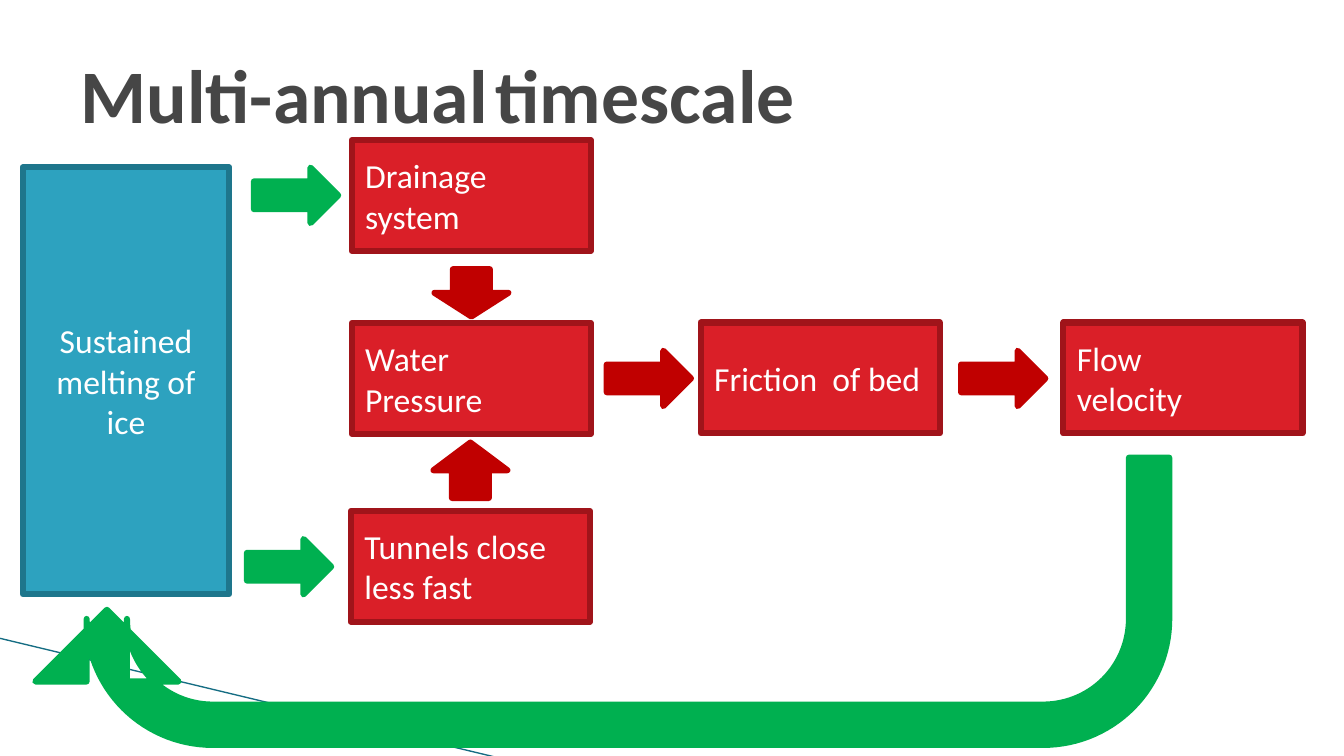
from dataclasses import dataclass
from math import cos, radians, sin

from lxml import etree
from pptx import Presentation
from pptx.dml.color import RGBColor
from pptx.enum.shapes import MSO_CONNECTOR, MSO_SHAPE
from pptx.enum.text import MSO_ANCHOR, MSO_AUTO_SIZE, PP_ALIGN
from pptx.oxml.ns import qn
from pptx.util import Pt

LEFT, CENTER = PP_ALIGN.LEFT, PP_ALIGN.CENTER
MIDDLE = MSO_ANCHOR.MIDDLE
NO_FIT = MSO_AUTO_SIZE.NONE
RECTANGLE = MSO_SHAPE.RECTANGLE
RIGHT, UP, DOWN = MSO_SHAPE.RIGHT_ARROW, MSO_SHAPE.UP_ARROW, MSO_SHAPE.DOWN_ARROW
STRAIGHT = MSO_CONNECTOR.STRAIGHT

FONT = "Calibri"
WHITE, GREY = "FFFFFF", "464646"
RED, RED_EDGE = "DA1F28", "A0141A"
BLUE, BLUE_EDGE = "2DA2BF", "1E768C"
GREEN, DARK_RED = "00B050", "C00000"
ACCENT = "156D83"
EDGE_WIDTH = 4.34
BOX_WIDTH, BOX_HEIGHT = 170.8, 79.2


@dataclass(frozen=True)
class Stage:
    text: str
    left: float
    top: float
    width: float = BOX_WIDTH
    height: float = BOX_HEIGHT
    fill: str = RED
    edge: str = RED_EDGE
    align: PP_ALIGN = LEFT


@dataclass(frozen=True)
class Arrow:
    kind: MSO_SHAPE
    left: float
    top: float
    width: float
    height: float
    color: str


STAGES = [
    Stage("Flow\nvelocity", 759.6, 230.4),
    Stage("Sustained melting of ice", 16.3, 119.6, 147.4, 304.9, BLUE, BLUE_EDGE, CENTER),
    Stage("Friction  of bed", 500.5, 230.4),
    Stage("Water\nPressure", 251.2, 230.7),
    Stage("Drainage\nsystem", 251.2, 100.1),
    Stage("Tunnels close less fast", 250.6, 365),
]

ARROWS = [
    Arrow(RIGHT, 433.4, 250.5, 60.2, 39.6, DARK_RED),
    Arrow(RIGHT, 686.5, 250.5, 60.2, 39.6, DARK_RED),
    Arrow(RIGHT, 181.4, 119.7, 60.2, 39.6, GREEN),
    Arrow(RIGHT, 176.4, 385, 60.2, 39.6, GREEN),
    Arrow(UP, 309.6, 316.1, 52.8, 39.6, DARK_RED),
    Arrow(DOWN, 310.3, 192.3, 52.8, 33.8, DARK_RED),
]


def rgb(color: str) -> RGBColor:
    return RGBColor.from_string(color)


def paint(shape, fill: str, edge: str) -> None:
    shape.shadow.inherit = False
    shape.fill.solid()
    shape.fill.fore_color.rgb = rgb(fill)
    shape.line.color.rgb = rgb(edge)
    shape.line.width = Pt(EDGE_WIDTH)
    etree.SubElement(shape.line._get_or_add_ln(), qn("a:round"))


def set_frame(frame) -> None:
    frame.word_wrap = True
    frame.auto_size = NO_FIT
    frame.vertical_anchor = MIDDLE
    frame.margin_left = frame.margin_right = Pt(9.6)
    frame.margin_top = frame.margin_bottom = Pt(4.8)


def style_run(run, size: float, color: str, bold: bool = False) -> None:
    run.font.name = FONT
    run.font.size = Pt(size)
    run.font.bold = bold
    run.font.color.rgb = rgb(color)


def draw_title(title) -> None:
    title.left, title.top, title.width, title.height = Pt(48), Pt(21.6), Pt(864), Pt(90)
    set_frame(title.text_frame)
    heading = title.text_frame.paragraphs[0]
    heading.alignment = LEFT
    for words, size in (("Multi-annual", 54), (" ", 24), ("timescale", 54)):
        run = heading.add_run()
        run.text = words
        style_run(run, size, GREY, True)


def draw_stage(shapes, stage: Stage) -> None:
    box = shapes.add_shape(RECTANGLE, Pt(stage.left), Pt(stage.top),
                           Pt(stage.width), Pt(stage.height))
    paint(box, stage.fill, stage.edge)
    set_frame(box.text_frame)
    box.text_frame.text = stage.text
    for paragraph in box.text_frame.paragraphs:
        paragraph.alignment = stage.align
        for run in paragraph.runs:
            style_run(run, 24, WHITE)


def draw_arrow(shapes, arrow: Arrow) -> None:
    block = shapes.add_shape(arrow.kind, Pt(arrow.left), Pt(arrow.top),
                             Pt(arrow.width), Pt(arrow.height))
    paint(block, arrow.color, arrow.color)


def bend(x: float, y: float, radius: float, start: int, end: int) -> list[tuple[float, float]]:
    step = 3 if end > start else -3
    angles = [radians(angle) for angle in range(start, end + step, step)]
    return [(x + radius * cos(a), y + radius * sin(a)) for a in angles]


def draw_feedback_loop(shapes) -> None:
    outer, inner = 90, 61.2
    left_bend, right_bend, bend_y = 151.9, 745.2, 442.1
    tip_x, tip_y, head = 76.4, 435.6, 51.2
    base = tip_y + head
    shaft_left, shaft_right = left_bend - outer, left_bend - inner
    outline = [
        (right_bend + outer, 326.9),
        *bend(right_bend, bend_y, outer, 0, 90),
        *bend(left_bend, bend_y, outer, 90, 180),
        (shaft_left, base),
        (tip_x - head, base),
        (tip_x, tip_y),
        (tip_x + head, base),
        (shaft_right, base),
        *bend(left_bend, bend_y, inner, 180, 90),
        *bend(right_bend, bend_y, inner, 90, 0),
        (right_bend + inner, 326.9),
    ]
    points = [(Pt(x), Pt(y)) for x, y in outline]
    builder = shapes.build_freeform(*points[0])
    builder.add_line_segments(points[1:], close=True)
    paint(builder.convert_to_shape(), GREEN, GREEN)


def draw_accent(shapes) -> None:
    accent = shapes.add_connector(STRAIGHT, Pt(-0.7), Pt(455.8), Pt(356.4), Pt(541.4))
    accent.line.color.rgb = rgb(ACCENT)
    accent.line.width = Pt(0.96)
    etree.SubElement(accent._element.spPr, qn("a:effectLst"))


def main() -> None:
    deck = Presentation()
    deck.slide_width, deck.slide_height = Pt(960), Pt(540)
    slide = deck.slides.add_slide(deck.slide_layouts[5])
    draw_accent(slide.shapes)
    draw_title(slide.shapes.title)
    for stage in STAGES:
        draw_stage(slide.shapes, stage)
    for arrow in ARROWS:
        draw_arrow(slide.shapes, arrow)
    draw_feedback_loop(slide.shapes)
    deck.save("out.pptx")


if __name__ == "__main__":
    main()
